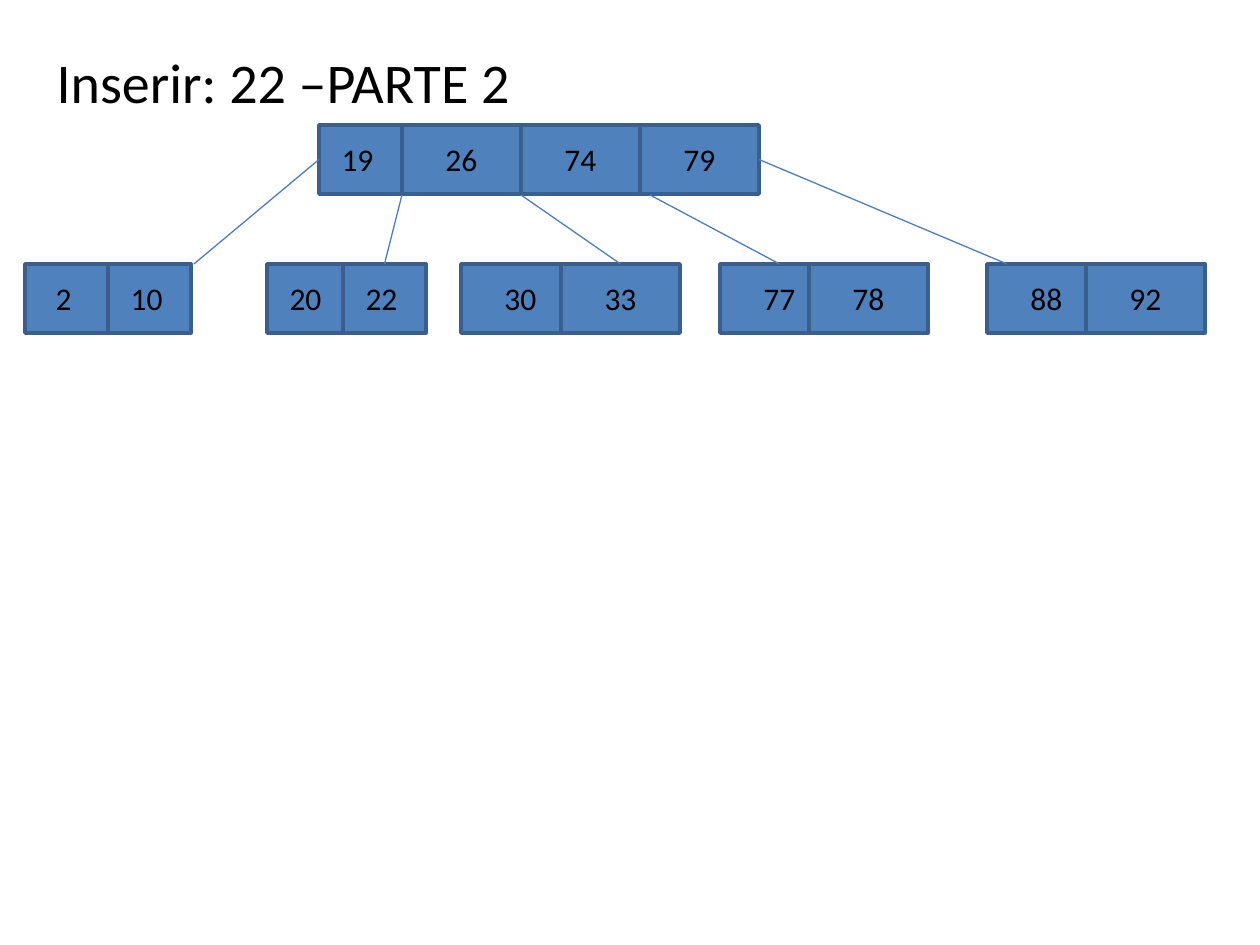
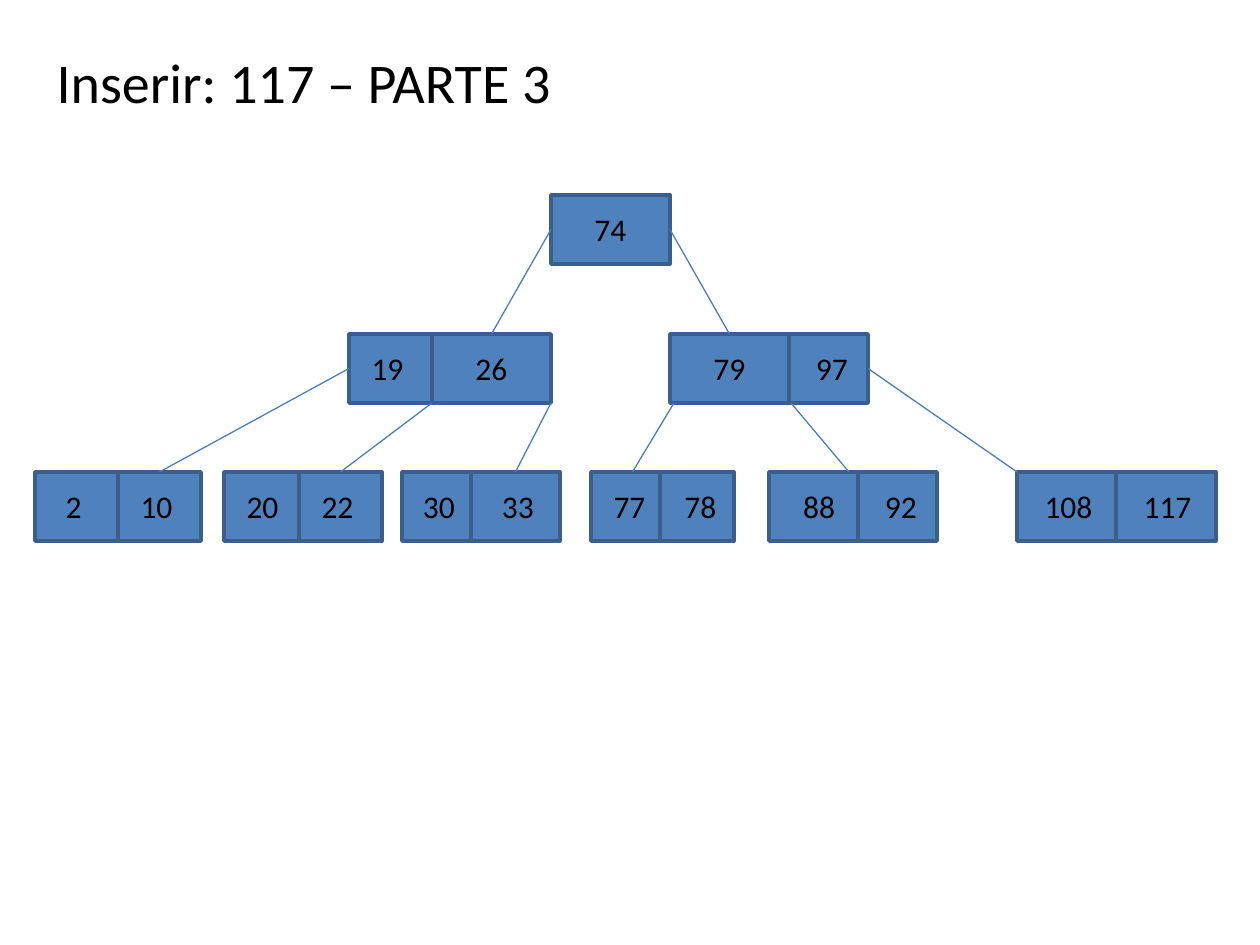
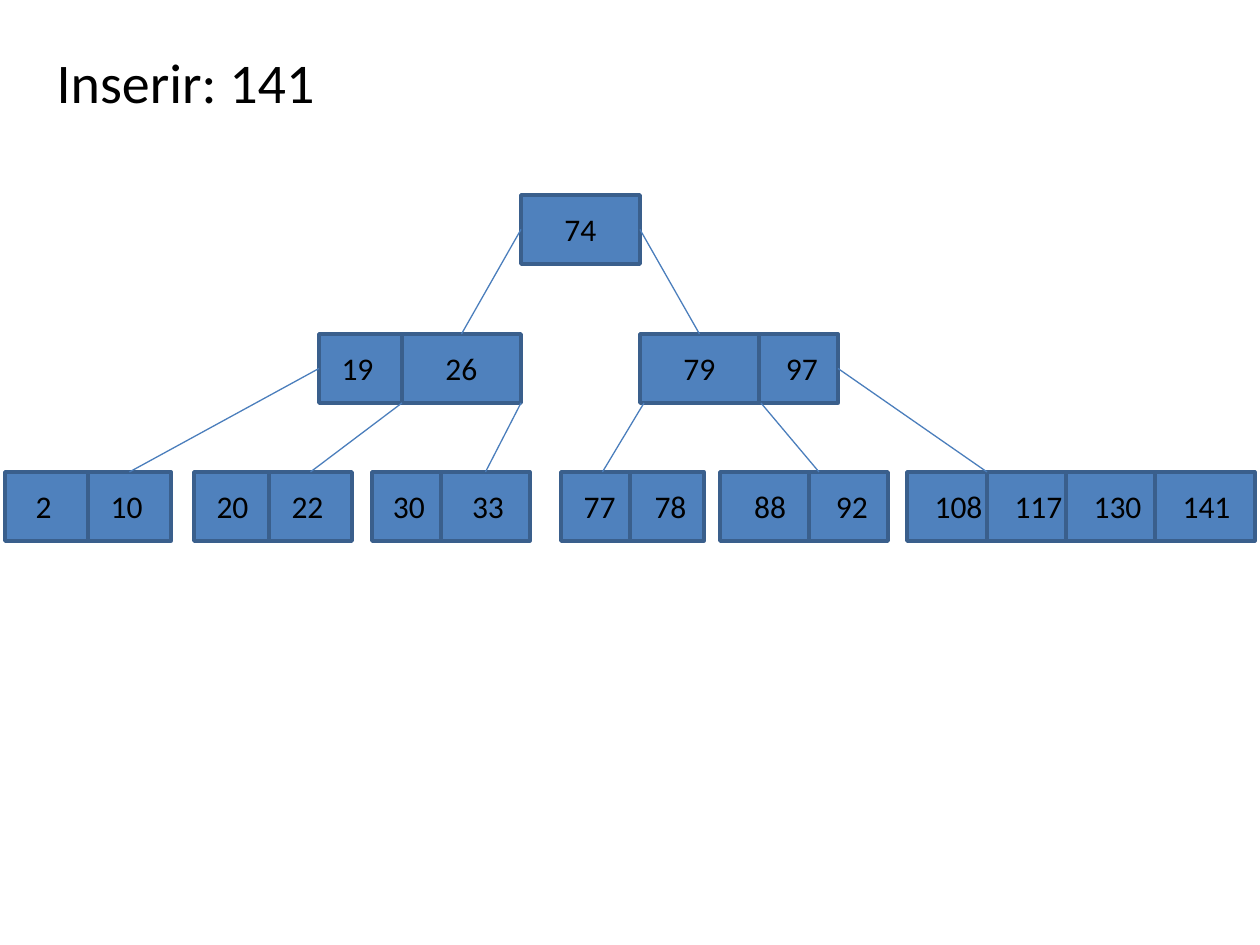
from pptx import Presentation
from pptx import util as u
from pptx.dml.color import RGBColor
from pptx.enum import shapes, text
from pptx.oxml import ns
from lxml import etree

PX_PER_INCH = 126
FONT = "Calibri"
INK, KEY_FILL, KEY_EDGE, BRANCH = "000000", "4F81BD", "3A5F8C", "4B7EBC"
TITLE_ONLY = 5

KEY_HEIGHT = 69
LABEL_SHARE = 0.83
LABEL_INDENT = {83: 4, 75: 6}  # by key width; other widths use 10
TOP, LEFT, RIGHT = 0, 1, 3


def px(length):
    return u.Emu(round(length * 914400 / PX_PER_INCH))


def color(hex_code):
    return RGBColor.from_string(hex_code)


def set_font(paragraph, size):
    paragraph.font.name = FONT
    paragraph.font.size = u.Pt(size)
    paragraph.font.color.rgb = color(INK)


def add_titled_slide(deck, heading):
    slide = deck.slides.add_slide(deck.slide_layouts[TITLE_ONLY])
    title = slide.shapes.title
    title.left, title.top, title.width, title.height = map(px, (44, 37, 833, 89))
    frame = title.text_frame
    frame.text = heading
    frame.vertical_anchor = text.MSO_ANCHOR.MIDDLE
    frame.paragraphs[0].alignment = text.PP_ALIGN.LEFT
    set_font(frame.paragraphs[0], 32)
    return slide


def add_key(slide, value, left, top, width):
    key = slide.shapes.add_shape(shapes.MSO_SHAPE.RECTANGLE,
                                 *map(px, (left, top, width, KEY_HEIGHT)))
    key.shadow.inherit = False
    key.fill.solid()
    key.fill.fore_color.rgb = color(KEY_FILL)
    key.line.color.rgb = color(KEY_EDGE)
    key.line.width = u.Pt(2)

    indent = LABEL_INDENT.get(width, 10)
    label = slide.shapes.add_textbox(
        *map(px, (left + indent, top + 9, round(width * LABEL_SHARE), 50)))
    frame = label.text_frame
    frame.word_wrap = True
    frame.auto_size = text.MSO_AUTO_SIZE.SHAPE_TO_FIT_TEXT
    frame.text = str(value)
    frame.paragraphs[0].alignment = text.PP_ALIGN.CENTER
    set_font(frame.paragraphs[0], 18)
    return key


def add_level(slide, top, level, shift=0):
    """Draw (value, left, width) keys from left to right; return them by value."""
    return {value: add_key(slide, value, left + shift, top, width)
            for value, left, width in level}


def add_branch(slide, keys, start, end, shift=0):
    """Join two ends, each a (key value, side) found in keys or an (x, y) point."""
    branch = slide.shapes.add_connector(shapes.MSO_CONNECTOR.STRAIGHT, 0, 0, 0, 0)
    (branch.begin_x, branch.begin_y), (branch.end_x, branch.end_y) = (
        (0, 0) if point[0] in keys else (px(point[0] + shift), px(point[1]))
        for point in (start, end))
    for (value, side), connect in ((start, branch.begin_connect),
                                   (end, branch.end_connect)):
        if value in keys:
            connect(keys[value], side)
    branch.line.color.rgb = color(BRANCH)
    branch.line.width = u.Pt(0.75)
    etree.SubElement(branch.element.spPr, ns.qn("a:effectLst"))


def add_two_level_tree(slide):
    root = [(19, 319, 83), (26, 402, 119), (74, 521, 119), (79, 640, 119)]
    leaves = [(2, 25, 83), (10, 108, 83), (20, 267, 83), (22, 343, 83),
              (30, 461, 119), (33, 561, 119), (77, 720, 119), (78, 809, 119),
              (88, 987, 119), (92, 1086, 119)]
    keys = add_level(slide, 125, root) | add_level(slide, 264, leaves)
    for start, end in [((19, LEFT), (194, 264)),
                       ((402, 195), (22, TOP)),
                       ((521, 195), (33, TOP)),
                       ((650, 195), (77, TOP)),
                       ((79, RIGHT), (1007, 264))]:
        add_branch(slide, keys, start, end)


def add_three_level_tree(slide, last_leaves, shift=0):
    """Draw the tree shifted sideways; last_leaves keep their own places."""
    root = [(74, 521, 119)]
    middle = [(19, 319, 83), (26, 402, 119), (79, 640, 119), (97, 759, 79)]
    leaves = [(2, 5, 83), (10, 88, 83), (20, 194, 83), (22, 269, 83),
              (30, 372, 75), (33, 441, 89), (77, 561, 83), (78, 630, 74)]
    keys = {}
    for top, level in [(195, root), (334, middle), (472, leaves)]:
        keys |= add_level(slide, top, level, shift)
    keys |= add_level(slide, 472, last_leaves)
    for start, end in [((74, LEFT), (26, TOP)),
                       ((74, RIGHT), (79, TOP)),
                       ((19, LEFT), (10, TOP)),
                       ((402, 403), (22, TOP)),
                       ((521, 403), (33, TOP)),
                       ((644, 403), (77, TOP)),
                       ((761, 403), (819, 472)),
                       ((97, RIGHT), (987, 472))]:
        add_branch(slide, keys, start, end, shift)


def main():
    deck = Presentation()
    deck.slide_width, deck.slide_height = u.Inches(10), u.Inches(7.5)

    add_two_level_tree(add_titled_slide(deck, "Inserir: 22 –PARTE 2"))
    add_three_level_tree(
        add_titled_slide(deck, "Inserir: 117 – PARTE 3"),
        [(88, 769, 96), (92, 858, 79), (108, 1017, 100), (117, 1116, 100)],
        shift=30)
    add_three_level_tree(
        add_titled_slide(deck, "Inserir: 141"),
        [(88, 720, 96), (92, 809, 79), (108, 907, 100), (117, 987, 100),
         (130, 1066, 100), (141, 1155, 100)])

    deck.save("out.pptx")


if __name__ == "__main__":
    main()
